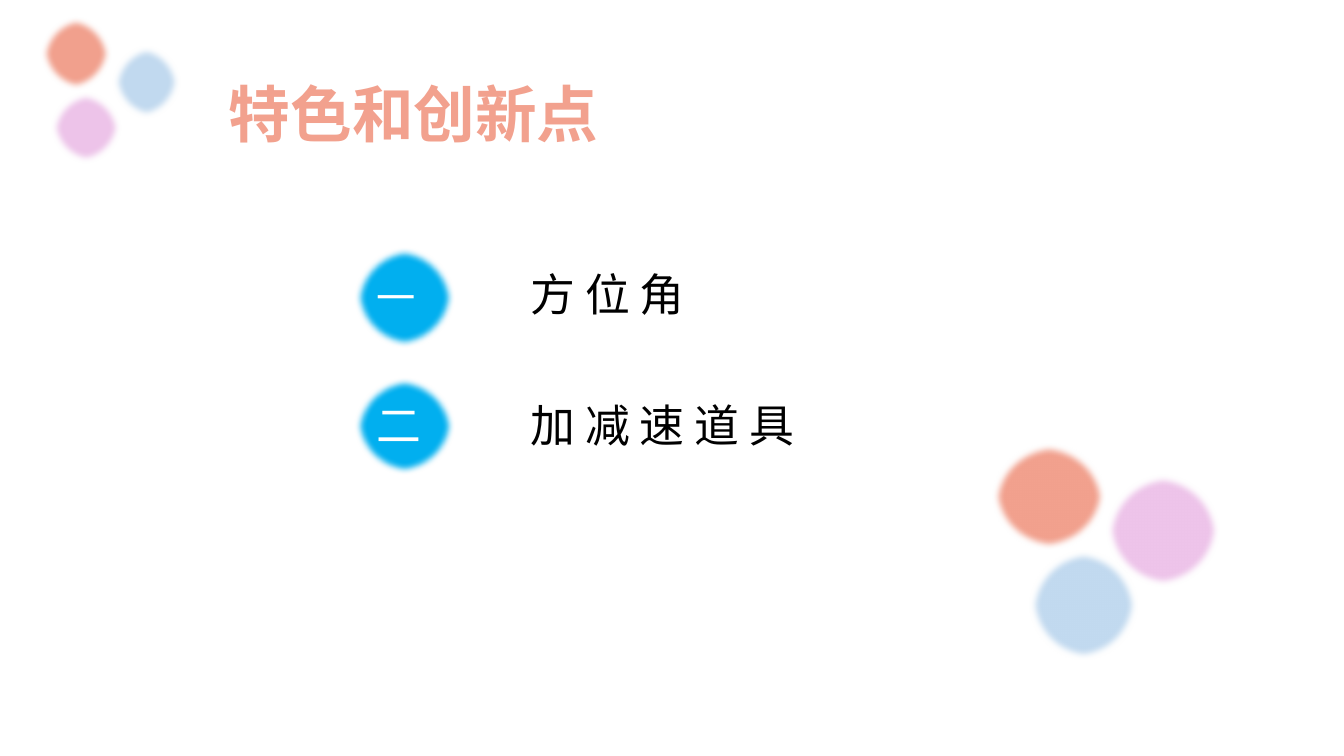
from dataclasses import dataclass

from lxml import etree
from pptx import Presentation
from pptx import util as u
from pptx.dml.color import RGBColor
from pptx.enum import shapes, text
from pptx.oxml.ns import qn


@dataclass(frozen=True)
class Theme:
    font: str = "Calibri"
    coral: str = "F2A18E"
    pink: str = "EEC4EA"
    pale_blue: str = "C2DAF0"
    blue: str = "00B0F0"
    outline: str = "43739E"
    black: str = "000000"
    white: str = "FFFFFF"
    title_size: int = 44
    item_size: int = 32
    small_size: int = 28
    soft_edge: int = 5


THEME = Theme()


def place(shape, box):
    shape.left, shape.top, shape.width, shape.height = map(u.Inches, box)


def write(shape, words, size=THEME.item_size, color=THEME.black, bold=False,
          anchor=text.MSO_ANCHOR.TOP, fit=text.MSO_AUTO_SIZE.SHAPE_TO_FIT_TEXT):
    frame = shape.text_frame
    frame.word_wrap = True
    frame.auto_size = fit
    frame.vertical_anchor = anchor
    para = frame.paragraphs[0]
    para.alignment = text.PP_ALIGN.LEFT
    span = para.add_run()
    span.text = words
    span.font.name = THEME.font
    span.font.size = u.Pt(size)
    span.font.bold = bold
    span.font.color.rgb = RGBColor.from_string(color)


def add_text(page, box, words, **style):
    write(page.shapes.add_textbox(*map(u.Inches, box)), words, **style)


def add_dot(page, box, color):
    dot = page.shapes.add_shape(shapes.MSO_SHAPE.OVAL, *map(u.Inches, box))
    dot.shadow.inherit = False
    dot.fill.solid()
    dot.fill.fore_color.rgb = RGBColor.from_string(color)
    dot.line.color.rgb = RGBColor.from_string(THEME.outline)
    dot.line.width = u.Pt(1)
    effects = dot.element.spPr.find(qn("a:effectLst"))
    etree.SubElement(effects, qn("a:softEdge"), rad=str(u.Pt(THEME.soft_edge)))


def add_title(page, box, words):
    title = page.shapes.title
    place(title, box)
    write(title, words, size=THEME.title_size, color=THEME.coral, bold=True,
          anchor=text.MSO_ANCHOR.MIDDLE, fit=text.MSO_AUTO_SIZE.NONE)


def add_item(page, box, number, words, number_box, number_size, words_box):
    left, top, width, height = box
    add_dot(page, box, THEME.blue)
    for (dx, dy, w, h), label, style in (
            (words_box, words, {}),
            (number_box, number, {"size": number_size, "color": THEME.white})):
        add_text(page, (left + dx, top + dy, w, h), label, **style)


def add_cluster(page, box, dots):
    left, top = box[:2]
    for dx, dy, width, height, color in dots:
        add_dot(page, (left + dx, top + dy, width, height), color)


def build_features(page):
    add_title(page, (2.17, 0.6, 9.93, 1.03), "特色和创新点")
    add_item(page, (3.51, 2.45, 1, 1), "一、", "方 位 角",
             (0.13, 0.21, 0.52, 0.57), THEME.small_size, (1.65, 0.15, 3.68, 0.64))
    add_item(page, (3.51, 3.74, 1, 0.97), "二、", "加 减 速 道 具",
             (0.13, 0.16, 0.38, 0.64), THEME.item_size, (1.65, 0.16, 3.09, 0.64))
    add_cluster(page, (9.84, 4.4, 2.26, 2.15), (
        (0.37, 1.06, 1.08, 1.09, THEME.pale_blue),
        (1.13, 0.3, 1.13, 1.12, THEME.pink),
        (0, 0, 1.13, 1.06, THEME.coral)))
    add_cluster(page, (0.4, 0.16, 1.39, 1.47), (
        (0, 0, 0.71, 0.74, THEME.coral),
        (0.1, 0.75, 0.71, 0.72, THEME.pink),
        (0.71, 0.29, 0.68, 0.73, THEME.pale_blue)))


def main():
    deck = Presentation()
    deck.slide_width, deck.slide_height = u.Inches(13.33), u.Inches(7.5)
    build_features(deck.slides.add_slide(deck.slide_layouts.get_by_name("Title Only")))
    deck.save("out.pptx")


if __name__ == "__main__":
    main()
